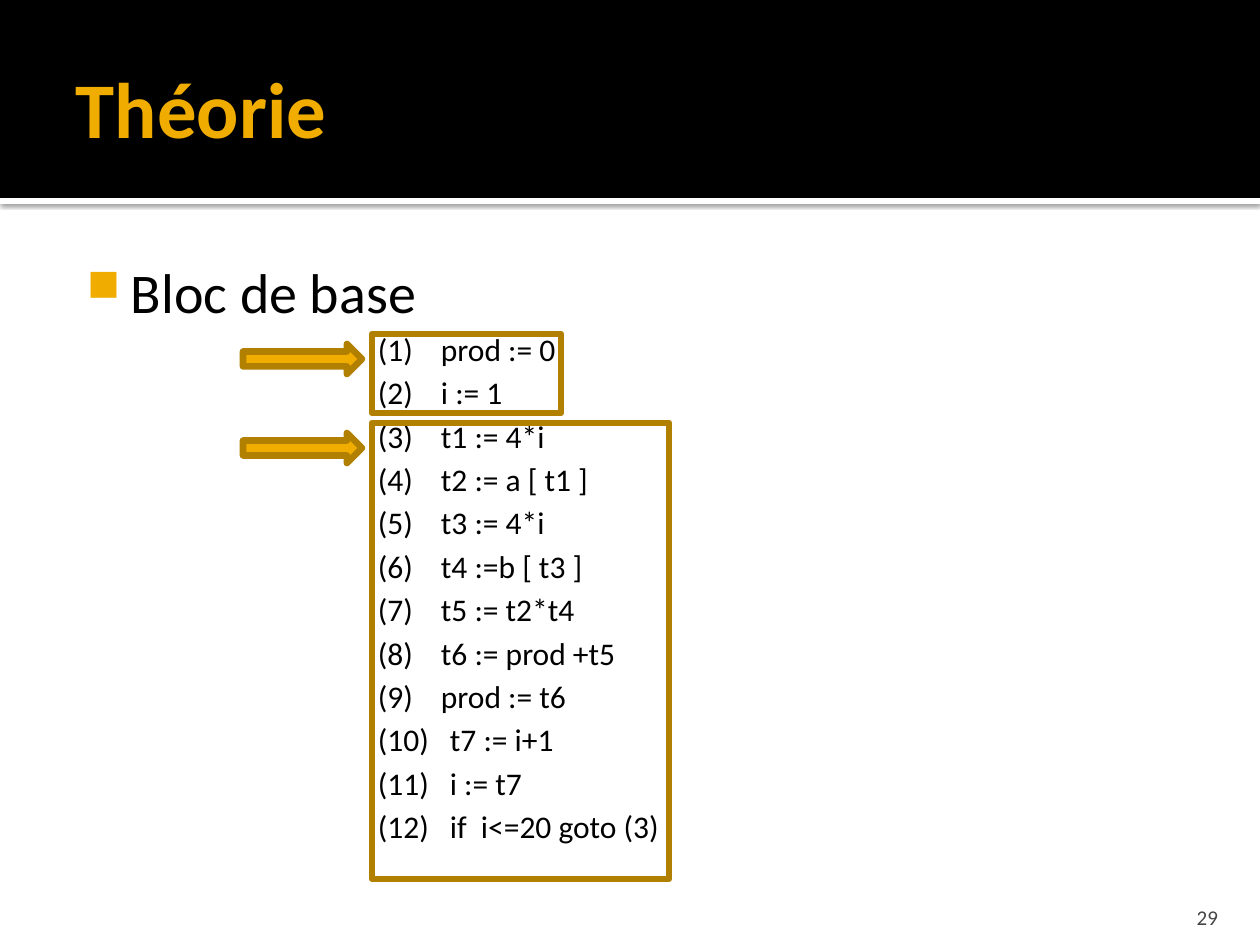
import pptx
import pptx.util
import pptx.dml.color
import pptx.enum.shapes
import pptx.enum.text
import pptx.oxml
import pptx.oxml.ns

PX = 914400 // 126
SHAPE = pptx.enum.shapes.MSO_SHAPE
ANCHOR = pptx.enum.text.MSO_ANCHOR
RGB = pptx.dml.color.RGBColor
BLACK = RGB(0x00, 0x00, 0x00)
WHITE = RGB(0xFF, 0xFF, 0xFF)
AMBER = RGB(0xF0, 0xAD, 0x00)
BRONZE = RGB(0xB2, 0x80, 0x00)
GREY = RGB(0x45, 0x45, 0x45)
NS = pptx.oxml.ns.nsdecls("a")


def add_block(kind, left, top, width, height, fill=None, line=None):
    block = slide.shapes.add_shape(kind, left * PX, top * PX, width * PX, height * PX)
    block.shadow.inherit = False
    if fill is None:
        block.fill.background()
    else:
        block.fill.solid()
        block.fill.fore_color.rgb = fill
    if line is None:
        block.line.fill.background()
    else:
        block.line.color.rgb = line
        block.line.width = pptx.util.Pt(3.78)
    return block


def set_frame(frame, insets, anchor):
    frame.word_wrap = True
    frame.auto_size = pptx.enum.text.MSO_AUTO_SIZE.NONE
    frame.vertical_anchor = anchor
    (frame.margin_left, frame.margin_top,
     frame.margin_right, frame.margin_bottom) = [inset * PX for inset in insets]


prs = pptx.Presentation()
prs.slide_width, prs.slide_height = 1260 * PX, 945 * PX
slide = prs.slides.add_slide(prs.slide_layouts[5])

# Header band with a shadowed white rule
rule = add_block(SHAPE.RECTANGLE, 0, 198, 1260, 6, WHITE)
effects = rule._element.spPr.find(pptx.oxml.ns.qn("a:effectLst"))
effects.append(pptx.oxml.parse_xml(
    f'<a:outerShdw {NS} blurRad="31750" dist="10160" dir="5400000" algn="tl" rotWithShape="0">'
    '<a:srgbClr val="000000"><a:alpha val="60000"/></a:srgbClr></a:outerShdw>'))
add_block(SHAPE.RECTANGLE, 0, 0, 1260, 198, BLACK)

# Title, brought in front of the band
title = slide.shapes.title
title.left, title.top, title.width, title.height = 63 * PX, 21 * PX, 1134 * PX, 173 * PX
title.text_frame.text = "Théorie"
set_frame(title.text_frame, (13, 6, 6, 6), ANCHOR.MIDDLE)
heading = title.text_frame.paragraphs[0]
heading.alignment = pptx.enum.text.PP_ALIGN.LEFT
heading.font.name, heading.font.size = "Calibri", pptx.util.Pt(45)
heading.font.bold = True
heading.font.color.rgb = AMBER
slide.shapes._spTree.append(title._element)

# Bulleted heading followed by the numbered instructions
instructions = [
    "prod := 0", "i := 1", "t1 := 4*i", "t2 := a [ t1 ]", "t3 := 4*i", "t4 :=b [ t3 ]",
    "t5 := t2*t4", "t6 := prod +t5", "prod := t6", "t7 := i+1", "i := t7",
    "if  i<=20 goto (3)",
]
body = slide.shapes.add_textbox(63 * PX, 244 * PX, 1134 * PX, 638 * PX).text_frame
set_frame(body, (8, 13, 13, 6), ANCHOR.TOP)
topic = body.paragraphs[0]
topic.text = "Bloc de base"
topic.font.size = pptx.util.Pt(32)
topic_props = topic._p.get_or_add_pPr()
topic_props.set("marL", str(60 * PX))
topic_props.set("indent", str(-44 * PX))
for order, bullet in enumerate((
        f'<a:buClr {NS}><a:srgbClr val="{AMBER}"/></a:buClr>',
        f'<a:buSzPct {NS} val="80000"/>',
        f'<a:buChar {NS} char="■"/>')):
    topic_props.insert(order, pptx.oxml.parse_xml(bullet))

for number, code in enumerate(instructions, 1):
    instruction = body.add_paragraph()
    instruction.text = f"({number})\t{code}"
    instruction.font.size = pptx.util.Pt(18)
    instruction.space_before = pptx.util.Pt(3.2)
    hang = 63 if number < 10 else 72
    props = instruction._p.get_or_add_pPr()
    props.set("marL", str((307 + hang) * PX))
    props.set("indent", str(-hang * PX))
for paragraph in body.paragraphs:
    paragraph.font.name = "Calibri"
    paragraph.font.color.rgb = BLACK

# Frames round the two basic blocks, each with an arrow to its leader
for frame_top, width, height, arrow_top in ((334, 189, 79, 344), (423, 297, 456, 433)):
    add_block(SHAPE.RECTANGLE, 372, frame_top, width, height, line=BRONZE)
    add_block(SHAPE.RIGHT_ARROW, 243, arrow_top, 119, 30, AMBER, BRONZE)

# Page number
page = slide.shapes.add_textbox(1130 * PX, 892 * PX, 101 * PX, 38 * PX).text_frame
set_frame(page, (13, 6, 13, 0), ANCHOR.BOTTOM)
page_number = page.paragraphs[0]
page_number.text = "29"
page_number.alignment = pptx.enum.text.PP_ALIGN.RIGHT
page_number.font.name, page_number.font.size = "Calibri", pptx.util.Pt(12)
page_number.font.color.rgb = GREY

prs.save("out.pptx")
